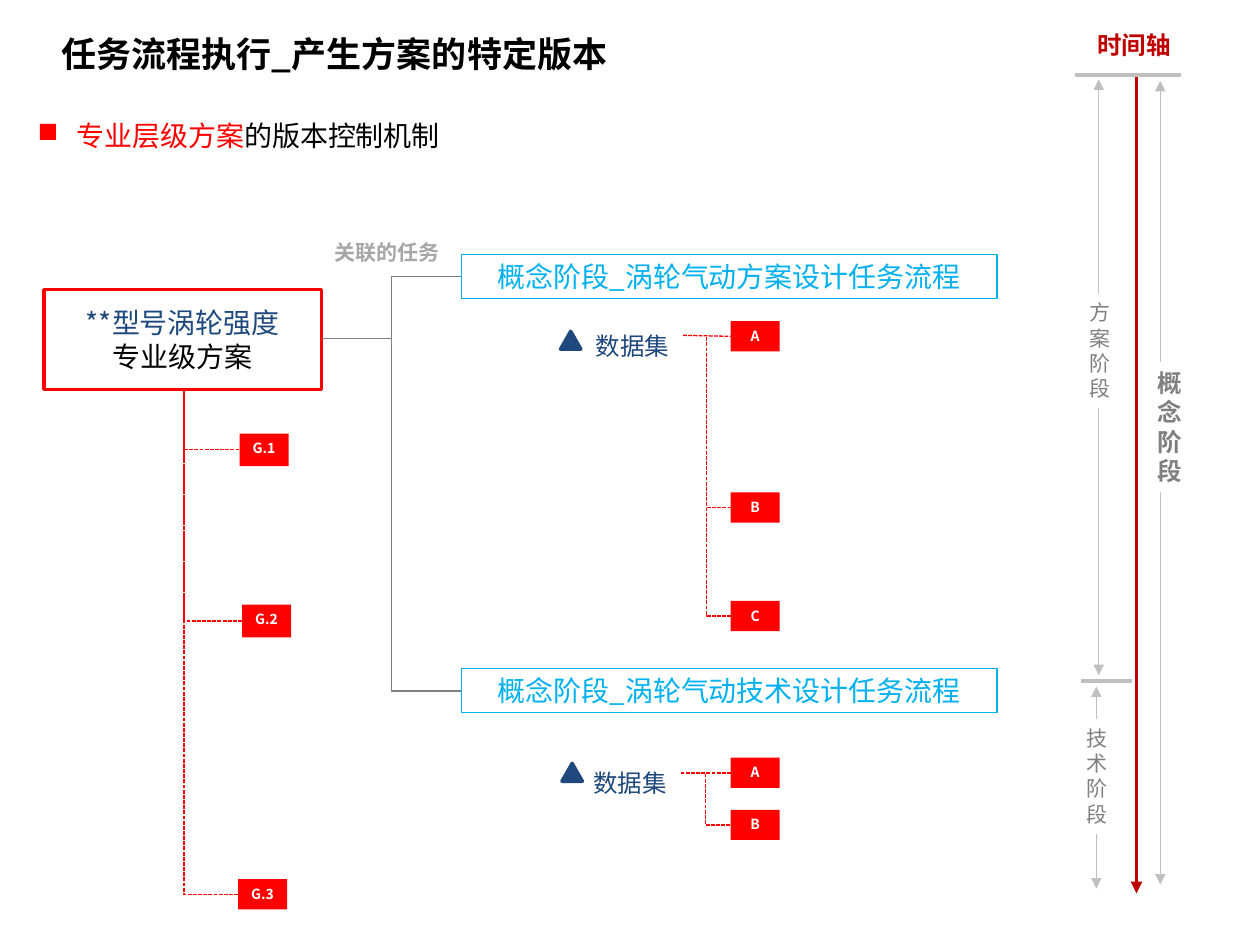
from lxml.etree import SubElement
from pptx import Presentation
from pptx.dml.color import RGBColor
from pptx.enum.dml import MSO_LINE
from pptx.enum.shapes import MSO_CONNECTOR, MSO_SHAPE
from pptx.enum.text import MSO_ANCHOR, MSO_AUTO_SIZE, PP_ALIGN
from pptx.oxml.ns import qn
from pptx.util import Cm, Pt

FONT = "Noto Sans CJK SC"
COLORS = {
    "black": "000000", "white": "FFFFFF", "red": "FF0000", "dark_red": "C00000",
    "navy": "1F497D", "cyan": "00B0F0", "gray": "808080",
    "label_gray": "A6A6A6", "axis_gray": "BFBFBF",
}
BADGE_WIDTH, BADGE_HEIGHT = 0.99, 0.61
BADGE_LEFT = 14.73


def color(name):
    return RGBColor.from_string(COLORS[name])


def format_span(span, size, color_name, bold=False):
    span.font.size = Pt(size)
    span.font.bold = bold
    span.font.name = FONT
    span.font.color.rgb = color(color_name)
    SubElement(span._r.get_or_add_rPr(), qn("a:ea"), typeface=FONT)


def add_text(page, area, text, size, color_name, bold=False, spacing=None, wrap=False):
    """Text box that grows with its text; returns its paragraph."""
    box = page.shapes.add_textbox(*map(Cm, area))
    frame = box.text_frame
    frame.word_wrap = wrap
    frame.auto_size = MSO_AUTO_SIZE.SHAPE_TO_FIT_TEXT
    para = frame.paragraphs[0]
    para.text = text
    if spacing:
        para.line_spacing = spacing
    format_span(para.runs[0], size, color_name, bold)
    return para


def add_bullet(para):
    props = para._p.get_or_add_pPr()
    props.set("marL", str(Cm(0.79)))
    props.set("indent", str(Cm(-0.79)))
    SubElement(props, qn("a:buChar"), char="■")


def add_box(page, area, fill, line=None, width=0.75, kind=MSO_SHAPE.RECTANGLE):
    box = page.shapes.add_shape(kind, *map(Cm, area))
    box.shadow.inherit = False
    box.fill.solid()
    box.fill.fore_color.rgb = color(fill)
    if line:
        box.line.color.rgb = color(line)
        box.line.width = Pt(width)
    else:
        box.line.fill.background()
    return box


def fill_box(box, lines, size, bold=False, grow=False):
    """Centred text, one (text, colour) pair per paragraph."""
    frame = box.text_frame
    frame.word_wrap = True
    frame.vertical_anchor = MSO_ANCHOR.TOP if grow else MSO_ANCHOR.MIDDLE
    if grow:
        frame.auto_size = MSO_AUTO_SIZE.SHAPE_TO_FIT_TEXT
    frame.text = "\n".join(text for text, _ in lines)
    for para, (_, color_name) in zip(frame.paragraphs, lines):
        para.alignment = PP_ALIGN.CENTER
        format_span(para.runs[0], size, color_name, bold)


def add_line(page, start, end, color_name, width=0.75, kind=MSO_CONNECTOR.STRAIGHT,
             dashed=False, arrows=()):
    line = page.shapes.add_connector(kind, *map(Cm, start + end))
    line.line.color.rgb = color(color_name)
    line.line.width = Pt(width)
    if dashed:
        line.line.dash_style = MSO_LINE.SQUARE_DOT
    for arrow in arrows:
        SubElement(line.line._get_or_add_ln(), qn(f"a:{arrow}"), type="triangle")
    SubElement(line._element.spPr, qn("a:effectLst"))
    return line


def add_badge(page, left, center, text, height=BADGE_HEIGHT):
    box = add_box(page, (left, center - height / 2, BADGE_WIDTH, height), "red")
    fill_box(box, [(text, "white")], 8, bold=True, grow=True)


def add_task(page, center, text):
    add_line(page, (6.5, 6.83), (9.3, center), "gray", kind=MSO_CONNECTOR.ELBOW)
    box = add_box(page, (9.3, center - 0.45, 10.8, 0.89), "white", "cyan")
    fill_box(box, [(text, "cyan")], 16)


def add_dataset(page, mark, label, start, badges):
    add_box(page, mark + (0.41, 0.36), "navy", "navy", 2, MSO_SHAPE.ISOSCELES_TRIANGLE)
    add_text(page, label + (2.01, 1.04), "数据集", 14, "navy", spacing=1.5)
    for index, (text, center) in enumerate(badges):
        kind = MSO_CONNECTOR.ELBOW if index else MSO_CONNECTOR.STRAIGHT
        add_line(page, start, (BADGE_LEFT, center), "red", kind=kind, dashed=True)
        add_badge(page, BADGE_LEFT, center, text)


def add_version(page, left, center, text, height):
    # One corner only: from the badge to the trunk, then up to the plan
    line = add_line(page, (left, center), (3.71, 7.85), "red",
                    kind=MSO_CONNECTOR.ELBOW, dashed=True)
    line._element.spPr.find(qn("a:prstGeom")).set("prst", "bentConnector2")
    add_badge(page, left, center, text, height)


def add_phase(page, x, top, bottom, area, text, size, bold=False):
    add_line(page, (x, top), (x, bottom), "axis_gray", arrows=("headEnd", "tailEnd"))
    box = add_box(page, area, "white")
    fill_box(box, [(text, "gray")], size, bold, grow=True)


def add_time_axis(page):
    add_line(page, (22.91, 1.52), (22.91, 18.01), "dark_red", 2.25, arrows=("tailEnd",))
    add_text(page, (21.87, 0.18, 2.01, 1.04), "时间轴", 14, "dark_red", True, 1.5)
    for left, right, y in ((21.67, 23.8, 1.52), (21.79, 22.81, 13.72)):
        add_line(page, (right, y), (left, y), "axis_gray", 2.25)
    add_phase(page, 23.39, 1.63, 17.83, (22.99, 7.29, 1.19, 2.64), "概念阶段", 14, True)
    add_phase(page, 22.15, 1.6, 13.61, (21.64, 5.92, 1.09, 2.31), "方案阶段", 12)
    add_phase(page, 22.1, 13.84, 17.91, (21.59, 14.5, 1.04, 2.31), "技术阶段", 12)


def main():
    deck = Presentation()
    deck.slide_width, deck.slide_height = Cm(25.4), Cm(19.05)
    page = deck.slides.add_slide(deck.slide_layouts[6])

    # Heading
    add_text(page, (0.99, 0.53, 21.92, 1.12), "任务流程执行_产生方案的特定版本",
             20, "black", True, wrap=True)
    para = add_text(page, (0.51, 1.93, 23.52, 1.27), "专业层级方案", 16, "red",
                    spacing=1.5, wrap=True)
    add_bullet(para)
    span = para.add_run()
    span.text = "的版本控制机制"
    format_span(span, 16, "black")

    # Plan and its versions
    plan = add_box(page, (0.89, 5.84, 5.59, 2.01), "white", "red", 2)
    fill_box(plan, [("**型号涡轮强度", "navy"), ("专业级方案", "black")], 16)
    for version in ((4.8, 18.03, "G.3", 0.61), (4.88, 12.52, "G.2", 0.66),
                    (4.83, 9.07, "G.1", 0.66)):
        add_version(page, *version)

    # Related tasks and their data sets
    add_text(page, (6.5, 4.45, 2.64, 0.94), "关联的任务", 12, "label_gray", True, 1.5)
    add_task(page, 5.58, "概念阶段_涡轮气动方案设计任务流程")
    add_dataset(page, (11.3, 6.68), (11.76, 6.25), (13.77, 6.76),
                (("A", 6.78), ("B", 10.23), ("C", 12.42)))
    add_task(page, 13.93, "概念阶段_涡轮气动技术设计任务流程")
    add_dataset(page, (11.33, 15.39), (11.71, 15.06), (13.72, 15.58),
                (("A", 15.58), ("B", 16.63)))

    # Time axis
    add_time_axis(page)
    deck.save("out.pptx")


if __name__ == "__main__":
    main()
